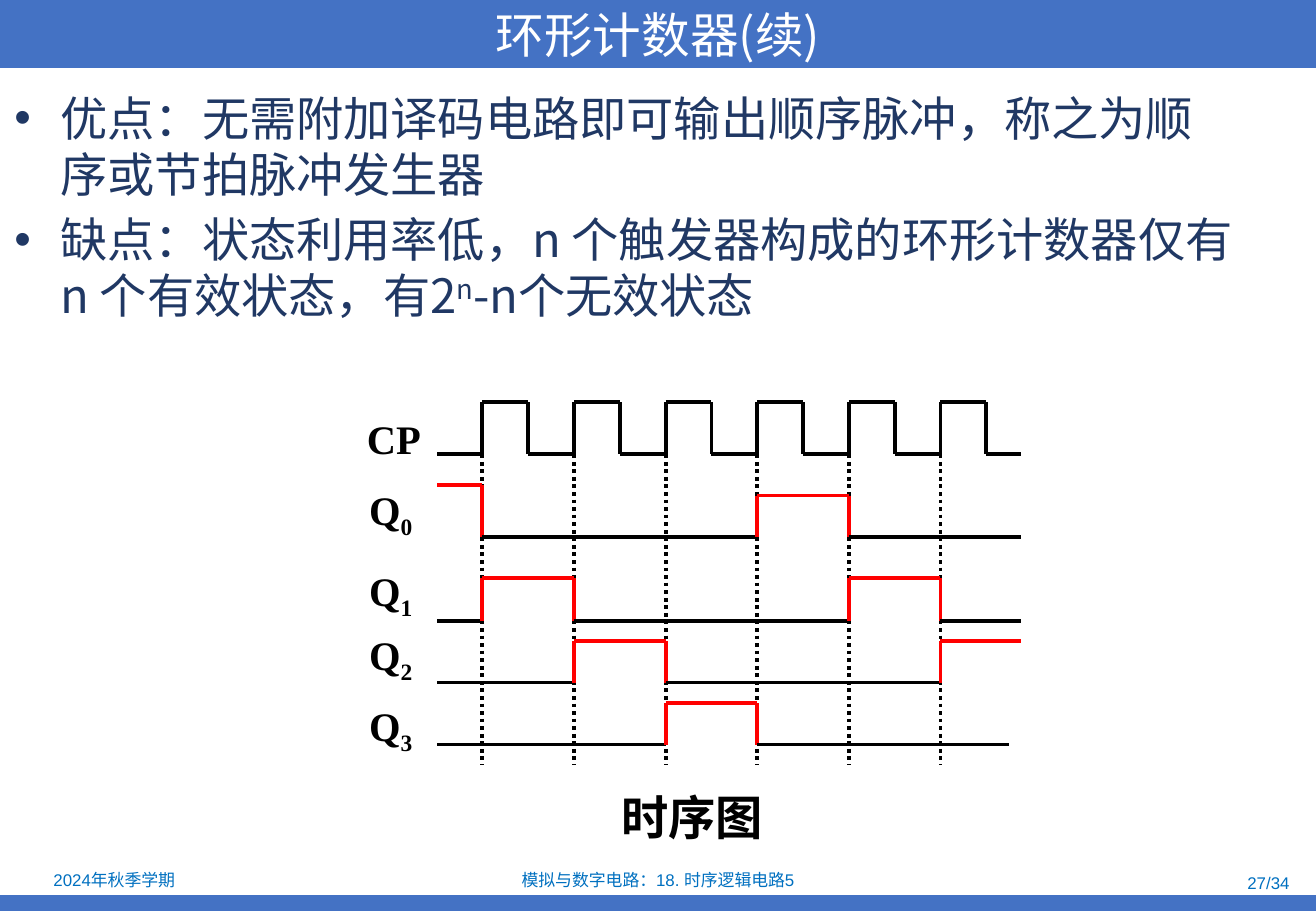
"""Build the ring counter slide with its timing diagram."""
from lxml import etree
from pptx import Presentation
from pptx.dml.color import RGBColor
from pptx.enum import dml, shapes, text
from pptx.oxml.ns import qn
from pptx.util import Inches, Pt

THEME = {
    "bar": "4472C4", "title": "FFFFFF", "body": "203864", "footer": "0070C0",
    "ink": "000000", "pulse": "FF0000",
    "sans": "Arial", "cjk": "Noto Sans CJK SC", "serif": "Times New Roman",
    "title_size": 28.8, "body_size": 28, "label_size": 24, "footer_size": 10,
    "line_width": 2.25, "body_pitch": 33.2, "body_gap": 5.6,
}

TITLE = "环形计数器(续)"
BULLETS = [
    ("sans", [("优点：无需附加译码电路即可输出顺序脉冲，称之为顺序或节拍脉冲发生器", 0)]),
    ("cjk", [("缺点：状态利用率低，n 个触发器构成的环形计数器仅有n 个有效状态，有2", 0),
             ("n", 30), ("-n个无效状态", 0)]),
]
FOOTERS = [
    ("2024年秋季学期", (0.02, 7.13, 1.84, 0.23), "CENTER"),
    ("模拟与数字电路：18. 时序逻辑电路5", (3.7, 7.14, 3.43, 0.21), "CENTER"),
    ("27/34", (8.18, 7.16, 2.53, 0.21), "RIGHT"),
]
CAPTION = "时序图"

START, END = 3.6, 8.4
FIRST_EDGE, PERIOD, CLOCKS = 3.97, 0.754, 6
DOTS_TOP, DOTS_BOTTOM = 3.74, 6.3
# Pulses are (first clock edge, last clock edge, top); None means cut off by the diagram.
SIGNALS = [
    ("CP", "", (2.92, 3.36, 0.65, 0.5), 3.74, END, "ink",
     [(clock, clock + 0.5, 3.31) for clock in range(CLOCKS)]),
    ("Q", "0", (2.94, 3.94, 0.57, 0.5), 4.42, END, "pulse", [(None, 0, 3.99), (3, 4, 4.08)]),
    ("Q", "1", (2.94, 4.61, 0.57, 0.5), 5.11, END, "pulse", [(0, 1, 4.76), (4, 5, 4.76)]),
    ("Q", "2", (2.94, 5.14, 0.57, 0.5), 5.62, END, "pulse", [(1, 2, 5.28), (5, None, 5.28)]),
    ("Q", "3", (2.94, 5.72, 0.57, 0.5), 6.13, 8.3, "pulse", [(2, 3, 5.79)]),
]


def color(name):
    return RGBColor.from_string(THEME[name])


def add_run(paragraph, words, size, font, ink, bold=False, baseline=0):
    run = paragraph.add_run()
    run.text = words
    run.font.size = Pt(THEME[size])
    run.font.name = THEME[font]
    run.font.bold = bold
    run.font.color.rgb = color(ink)
    properties = run.font._element
    etree.SubElement(properties, qn("a:ea")).set("typeface", THEME["cjk"])
    if baseline:
        properties.set("baseline", str(baseline * 1000))


def add_bar(slide, *box):
    bar = slide.shapes.add_shape(shapes.MSO_SHAPE.RECTANGLE, *map(Inches, box))
    bar.shadow.inherit = False
    bar.fill.solid()
    bar.fill.fore_color.rgb = color("bar")
    bar.line.fill.background()
    return bar


def add_text(slide, box, align="LEFT", anchor="TOP", wrap=True):
    frame = slide.shapes.add_textbox(*map(Inches, box)).text_frame
    frame.word_wrap = wrap
    frame.vertical_anchor = text.MSO_ANCHOR[anchor]
    paragraph = frame.paragraphs[0]
    paragraph.alignment = text.PP_ALIGN[align]
    return frame, paragraph


def add_line(slide, start, end, ink, dotted=False):
    line = slide.shapes.add_connector(
        shapes.MSO_CONNECTOR.STRAIGHT, *map(Inches, (*start, *end)))
    line.line.width = Pt(THEME["line_width"])
    line.line.color.rgb = color(ink)
    if dotted:
        line.line.dash_style = dml.MSO_LINE.ROUND_DOT
    etree.SubElement(line._element.spPr, qn("a:effectLst"))


def add_bullets(slide):
    frame, paragraph = add_text(slide, (0.02, 0.64, 10.24, 6.5))
    frame.margin_top = Inches(0.1)
    for index, (font, runs) in enumerate(BULLETS):
        if index:
            paragraph = frame.add_paragraph()
            paragraph.space_before = Pt(THEME["body_gap"])
        paragraph.line_spacing = Pt(THEME["body_pitch"])
        properties = paragraph._p.get_or_add_pPr()
        properties.set("marL", str(Inches(0.38)))
        properties.set("indent", str(-Inches(0.38)))
        etree.SubElement(properties, qn("a:buFont")).set("typeface", THEME["sans"])
        etree.SubElement(properties, qn("a:buChar")).set("char", "•")
        for words, baseline in runs:
            add_run(paragraph, words, "body_size", font, "body", baseline=baseline)


def edge(clock):
    return FIRST_EDGE + PERIOD * clock


def add_wave(slide, low, end, ink, pulses):
    x = START
    for first, last, top in pulses:
        rise = START if first is None else edge(first)
        fall = end if last is None else edge(last)
        if first is not None:
            add_line(slide, (x, low), (rise, low), "ink")
            add_line(slide, (rise, low), (rise, top), ink)
        add_line(slide, (rise, top), (fall, top), ink)
        if last is not None:
            add_line(slide, (fall, top), (fall, low), ink)
        x = fall
    if x < end:
        add_line(slide, (x, low), (end, low), "ink")


def add_diagram(slide):
    for clock in range(CLOCKS):
        x = edge(clock)
        add_line(slide, (x, DOTS_TOP), (x, DOTS_BOTTOM), "ink", dotted=True)
    for name, index, box, low, end, ink, pulses in SIGNALS:
        add_wave(slide, low, end, ink, pulses)
        paragraph = add_text(slide, box, wrap=False)[1]
        add_run(paragraph, name, "label_size", "serif", "ink", bold=True)
        if index:
            add_run(paragraph, index, "label_size", "serif", "ink", bold=True, baseline=-25)
    caption = add_text(slide, (5.01, 6.44, 1.37, 0.57), "CENTER", wrap=False)[1]
    add_run(caption, CAPTION, "body_size", "sans", "ink", bold=True)


def main():
    presentation = Presentation()
    presentation.slide_width, presentation.slide_height = Inches(10.83), Inches(7.5)
    slide = presentation.slides.add_slide(presentation.slide_layouts[6])
    add_bar(slide, 0, 7.37, 10.83, 0.13)
    frame = add_bar(slide, 0, 0, 10.83, 0.56).text_frame
    frame.vertical_anchor = text.MSO_ANCHOR.MIDDLE
    frame.paragraphs[0].alignment = text.PP_ALIGN.CENTER
    add_run(frame.paragraphs[0], TITLE, "title_size", "cjk", "title")
    add_bullets(slide)
    for words, box, align in FOOTERS:
        paragraph = add_text(slide, box, align, "MIDDLE")[1]
        add_run(paragraph, words, "footer_size", "sans", "footer")
    add_diagram(slide)
    presentation.save("out.pptx")


if __name__ == "__main__":
    main()
